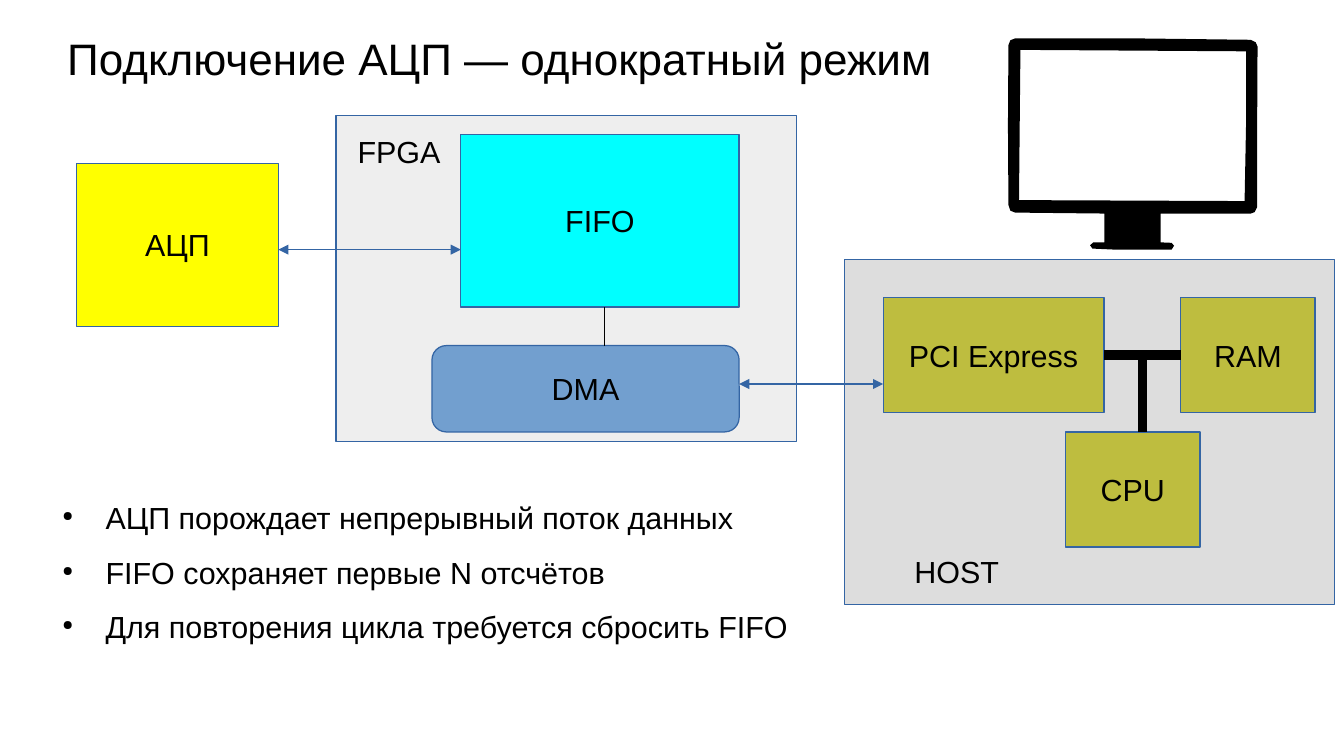
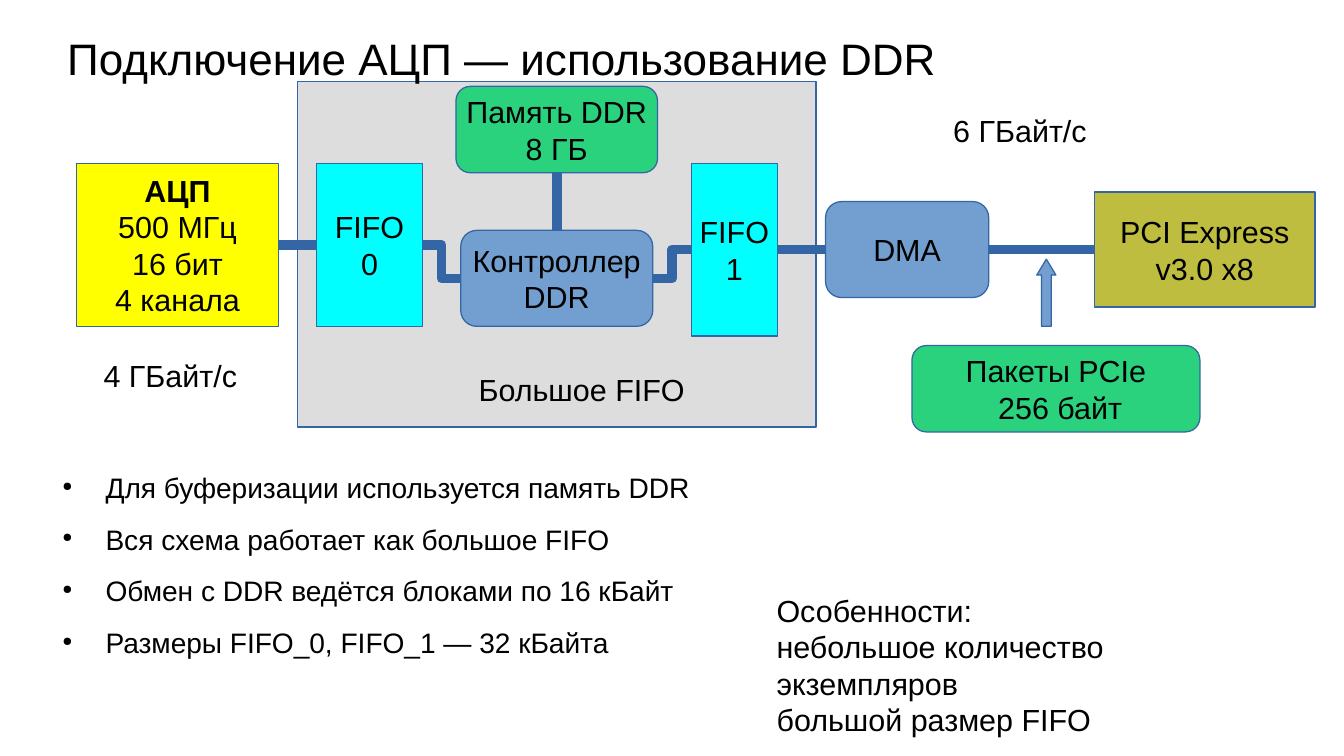
from lxml.etree import SubElement
from pptx import Presentation
from pptx.dml.color import RGBColor
from pptx.enum.shapes import MSO_CONNECTOR, MSO_SHAPE
from pptx.enum.text import MSO_ANCHOR, PP_ALIGN
from pptx.oxml.ns import qn
from pptx.util import Cm, Pt

COLS, ROWS = 28, 15.75
prs = Presentation()
prs.slide_width, prs.slide_height = Cm(COLS), Cm(ROWS)
U = prs.slide_width / COLS

BLACK, BLUE, STEEL = "000000", "3465A4", "729FCF"
GRAY, PALE, OLIVE = "DDDDDD", "EEEEEE", "BEBD3F"
CYAN, YELLOW, GREEN = "00FFFF", "FFFF00", "2BD27E"
RECT, ROUND, UP = MSO_SHAPE.RECTANGLE, MSO_SHAPE.ROUNDED_RECTANGLE, MSO_SHAPE.UP_ARROW
STRAIGHT, ELBOW = MSO_CONNECTOR.STRAIGHT, MSO_CONNECTOR.ELBOW
LEFT, CENTER = PP_ALIGN.LEFT, PP_ALIGN.CENTER
THIN, THICK = 0.75, 5.67

PLAIN = dict(word_wrap=True, vertical_anchor=MSO_ANCHOR.TOP)
BOXED = dict(word_wrap=False, vertical_anchor=MSO_ANCHOR.MIDDLE)
FLUSH = dict(margin_left=0, margin_right=0, margin_top=0, margin_bottom=0)
TITLE = dict(BOXED, **FLUSH, word_wrap=True)
BODY = dict(PLAIN, **FLUSH)
ADC = (1.6, 3.4, 4.2, 3.4)

slides = [
    dict(
        title="Подключение АЦП — однократный режим",
        top=10.4, size=18,
        bullets="АЦП порождает непрерывный поток данных\n"
                "FIFO сохраняет первые N отсчётов\n"
                "Для повторения цикла требуется сбросить FIFO",
        boxes=[
            (RECT, (17.6, 5.4, 10.2, 7.2), GRAY, ""),
            (RECT, (7, 2.4, 9.6, 6.8), PALE, ""),
            (RECT, (9.6, 2.8, 5.8, 3.6), CYAN, "FIFO"),
            (RECT, ADC, YELLOW, "АЦП"),
            (ROUND, (9, 7.2, 6.4, 1.8), STEEL, "DMA"),
            (RECT, (18.4, 6.2, 4.6, 2.4), OLIVE, "PCI Express"),
            (RECT, (24.6, 6.2, 2.8, 2.4), OLIVE, "RAM"),
            (RECT, (22.2, 9, 2.8, 2.4), OLIVE, "CPU"),
        ],
        labels=[
            ((18.8, 11.4, 2.3, 0.97), LEFT, "HOST"),
            ((7.2, 2.64, 2.3, 0.97), LEFT, "FPGA"),
        ],
        lines=[
            (STRAIGHT, (5.8, 5.2, 9.6, 5.2), BLUE, THIN, True),
            (STRAIGHT, (15.4, 8, 18.4, 8), BLUE, THIN, True),
            (STRAIGHT, (12.6, 7.2, 12.6, 6.4), BLACK, THIN, False),
            (STRAIGHT, (23, 7.4, 24.6, 7.4), BLACK, THICK, False),
            (STRAIGHT, (23.8, 9, 23.8, 7.4), BLACK, THICK, False),
        ],
    ),
    dict(
        title="Подключение АЦП — использование DDR",
        top=9.8, size=16.6,
        bullets="Для буферизации используется память DDR\n"
                "Вся схема работает как большое FIFO\n"
                "Обмен с DDR ведётся блоками по 16 кБайт\n"
                "Размеры FIFO_0, FIFO_1 — 32 кБайта",
        boxes=[
            (RECT, (6.2, 1.7, 10.8, 7.2), GRAY, ""),
            (RECT, ADC, YELLOW, "АЦП\n500 МГц\n16 бит\n4 канала"),
            (RECT, (6.6, 3.4, 2.2, 3.4), CYAN, "FIFO\n0"),
            (RECT, (14.4, 3.4, 1.8, 3.6), CYAN, "FIFO\n1"),
            (ROUND, (9.6, 4.8, 4, 2), STEEL, "Контроллер\nDDR"),
            (ROUND, (9.5, 1.8, 4.2, 1.8), GREEN, "Память DDR\n8 ГБ"),
            (ROUND, (17.2, 4.2, 3.4, 2), STEEL, "DMA"),
            (RECT, (22.8, 4, 4.6, 2.4), OLIVE, "PCI Express\nv3.0 x8"),
            (ROUND, (19, 7.2, 6, 1.8), GREEN, "Пакеты PCIe\n 256 байт"),
            (UP, (21.6, 5.4, 0.4, 1.4), STEEL, ""),
        ],
        labels=[
            ((1.9, 7.32, 3.3, 0.97), CENTER, "4 ГБайт/c"),
            ((19.6, 2.2, 3.3, 0.97), CENTER, "6 ГБайт/c"),
            ((9.72, 7.6, 4.8, 0.97), CENTER, "Большое FIFO"),
            ((15.93, 12.2, 11, 2.36), LEFT,
             "Особенности:\nнебольшое количество экземпляров\nбольшой размер FIFO"),
        ],
        lines=[
            (STRAIGHT, (5.8, 5.1, 6.6, 5.1), BLUE, THICK, False),
            (ELBOW, (8.8, 5.1, 9.6, 5.8), BLUE, THICK, False),
            (ELBOW, (14.4, 5.2, 13.6, 5.8), BLUE, THICK, False),
            (STRAIGHT, (11.6, 3.6, 11.6, 4.8), BLUE, THICK, False),
            (STRAIGHT, (16.2, 5.2, 17.2, 5.2), BLUE, THICK, False),
            (STRAIGHT, (20.6, 5.2, 22.8, 5.2), BLUE, THICK, False),
        ],
    ),
]

MONITOR = [
    (2619, 297), (2619, 432), (2614, 442), (2606, 445), (2418, 445), (2418, 505),
    (2441, 506), (2446, 512), (2441, 520), (2320, 520), (2276, 518), (2271, 511),
    (2278, 505), (2301, 505), (2301, 445), (2115, 443), (2105, 439), (2101, 427),
    (2100, 262), (2101, 94), (2105, 84), (2115, 80), (2360, 80), (2606, 83),
    (2616, 88), (2620, 97),
]
SCREEN = [(2596, 262), (2596, 107), (2126, 104), (2123, 417), (2593, 419)]


def rgb(color):
    return RGBColor.from_string(color)


def write(sp, text, fmt, size=18, align=LEFT):
    tf = sp.text_frame
    for name, value in fmt.items():
        setattr(tf, name, value)
    tf.text = text
    for p in tf.paragraphs:
        p.alignment = align
        for r in p.runs:
            for name, value in dict(name="Arial", size=Pt(size)).items():
                setattr(r.font, name, value)
            r.font.color.rgb = rgb(BLACK)
    return tf


for page in slides:
    s = prs.slides.add_slide(prs.slide_layouts[6])

    for kind, at, color, text in page["boxes"]:
        sp = s.shapes.add_shape(kind, *[int(v * U) for v in at])
        sp.shadow.inherit = False
        sp.fill.solid()
        sp.fill.fore_color.rgb = rgb(color)
        sp.line.color.rgb = rgb(BLUE)
        sp.line.width = Pt(THIN)
        if kind == UP:
            sp.adjustments[1] = 0.83
        tf = write(sp, text, BOXED, align=CENTER)
        if text.startswith("АЦП\n"):
            tf.paragraphs[0].runs[0].font.bold = True

    for kind, ends, color, width, arrows in page["lines"]:
        cx = s.shapes.add_connector(kind, *[int(v * U) for v in ends])
        cx.line.color.rgb = rgb(color)
        cx.line.width = Pt(width)
        if arrows:
            for end in ("a:headEnd", "a:tailEnd"):
                SubElement(cx.line._get_or_add_ln(), qn(end), type="triangle")
        SubElement(cx._element.spPr, qn("a:effectLst"))

    for at, align, text in page["labels"]:
        write(s.shapes.add_textbox(*[int(v * U) for v in at]), text, PLAIN, align=align)

    title = s.shapes.add_textbox(*[int(v * U) for v in (1.4, 0.63, 25.2, 1.17)])
    write(title, page["title"], TITLE, size=26)

    body = s.shapes.add_textbox(*[int(v * U) for v in (1, page["top"], 25.2, 3.5)])
    for p in write(body, page["bullets"], BODY, size=page["size"]).paragraphs:
        p.space_before = Pt(10.6)
        pPr = p._p.get_or_add_pPr()
        pPr.set("marL", str(int(1.2 * U)))
        pPr.set("indent", str(int(-0.9 * U)))
        SubElement(pPr, qn("a:buSzPct"), val="45000")
        SubElement(pPr, qn("a:buChar"), char="●")

fb = prs.slides[0].shapes.build_freeform(*MONITOR[0], scale=U / 100)
fb.add_line_segments(MONITOR[1:])
fb.move_to(*SCREEN[0])
fb.add_line_segments(SCREEN[1:])
monitor = fb.convert_to_shape()
monitor.shadow.inherit = False
monitor.fill.solid()
monitor.fill.fore_color.rgb = rgb(BLACK)
monitor.line.fill.background()

prs.save("out.pptx")
